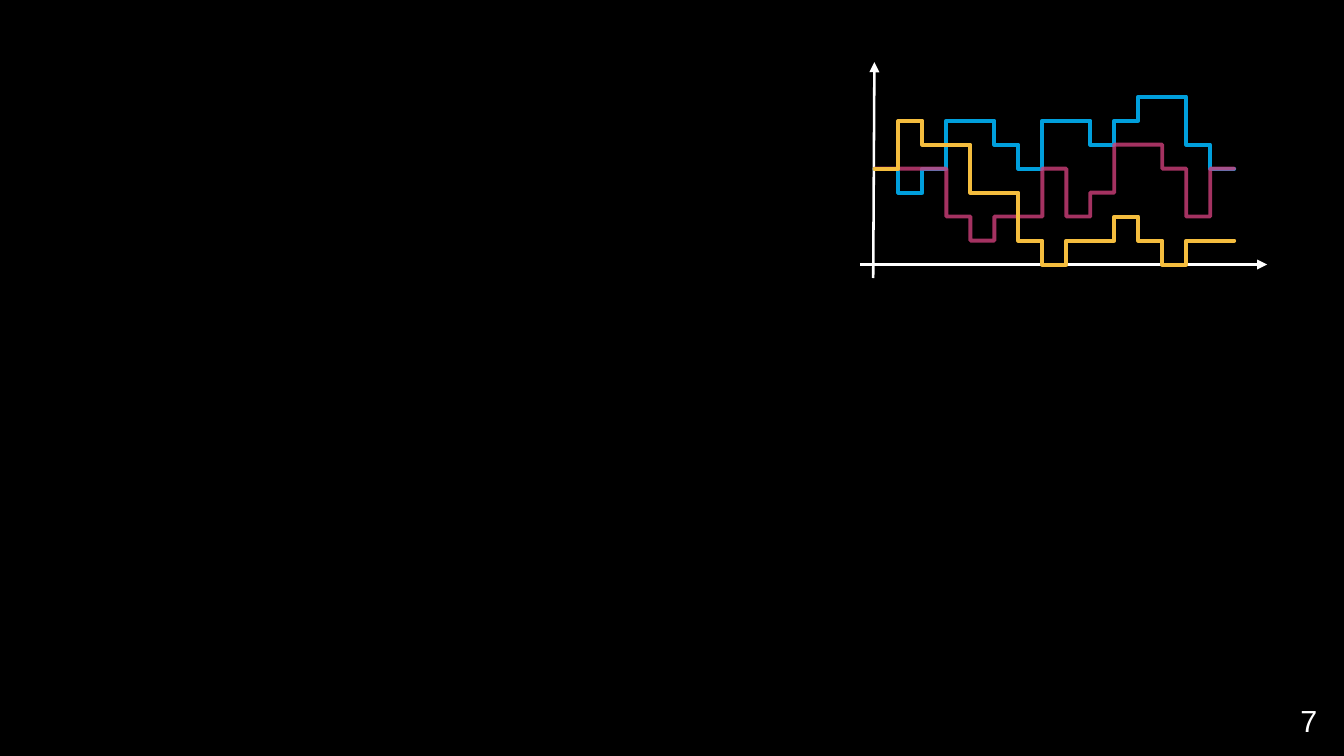
from pptx import Presentation
from pptx.dml.color import RGBColor
from pptx.enum.shapes import MSO_CONNECTOR
from pptx.enum.text import PP_ALIGN
from pptx.oxml.ns import qn
from pptx.util import Inches, Pt
from lxml.etree import SubElement

BLACK = RGBColor(0x00, 0x00, 0x00)
WHITE = RGBColor(0xFF, 0xFF, 0xFF)
BLUE = RGBColor(0x00, 0x9F, 0xDC)
PINK = RGBColor(0xCE, 0x3F, 0x7A)
YELLOW = RGBColor(0xF4, 0xBD, 0x3E)

ORIGIN_X, ORIGIN_Y = Inches(7.17), Inches(2.17)
STEP = Inches(2.95) / 15

# Level of each curve during each of the 15 time steps, with its opacity
CURVES = [
    (BLUE, 100, [4, 3, 4, 6, 6, 5, 4, 6, 6, 5, 6, 7, 7, 5, 4]),
    (PINK, 80, [4, 4, 4, 2, 1, 2, 2, 4, 2, 3, 5, 5, 4, 2, 4]),
    (YELLOW, 100, [4, 6, 5, 5, 3, 3, 1, 0, 1, 1, 2, 1, 0, 1, 1]),
]


def style_line(line, color, width):
    line.color.rgb = color
    line.width = Pt(width)


def add_axis(page, start, end):
    axis = page.shapes.add_connector(
        MSO_CONNECTOR.STRAIGHT, *map(Inches, start + end))
    style_line(axis.line, WHITE, 1.5)
    properties = axis._element.spPr
    SubElement(properties.find(qn("a:ln")), qn("a:tailEnd"), type="triangle")
    SubElement(properties, qn("a:effectLst"))


def add_step_curve(page, color, opacity, levels):
    """Draw each level as a flat stretch, joined by vertical jumps."""
    points = []
    for index, level in enumerate(levels):
        y = round(ORIGIN_Y - level * STEP)
        points += [(round(ORIGIN_X + side * STEP), y)
                   for side in (index, index + 1)]
    builder = page.shapes.build_freeform(*points[0])
    builder.add_line_segments(points[1:], close=False)
    curve = builder.convert_to_shape()
    curve.shadow.inherit = False
    curve.fill.background()
    style_line(curve.line, color, 2.3)
    outline = curve._element.spPr.find(qn("a:ln"))
    outline.set("cap", "rnd")
    SubElement(outline, qn("a:round"))
    if opacity < 100:
        paint = outline.find(".//" + qn("a:srgbClr"))
        SubElement(paint, qn("a:alpha"), val=str(opacity * 1000))


def add_page_number(page, number):
    box = page.shapes.add_textbox(
        Inches(9.56), Inches(5.71), Inches(1.34), Inches(0.47))
    box.text_frame.word_wrap = True
    para = box.text_frame.paragraphs[0]
    para.text = number
    para.alignment = PP_ALIGN.RIGHT
    para.font.name = "Arial"
    para.font.size = Pt(18)
    para.font.color.rgb = WHITE


def main():
    deck = Presentation()
    deck.slide_width, deck.slide_height = Inches(11.02), Inches(6.2)
    page = deck.slides.add_slide(deck.slide_layouts[6])
    page.background.fill.solid()
    page.background.fill.fore_color.rgb = BLACK

    add_page_number(page, "7")
    add_axis(page, (7.05, 2.17), (10.39, 2.17))
    add_axis(page, (7.16, 2.28), (7.17, 0.51))
    for color, opacity, levels in CURVES:
        add_step_curve(page, color, opacity, levels)
    deck.save("out.pptx")


if __name__ == "__main__":
    main()
